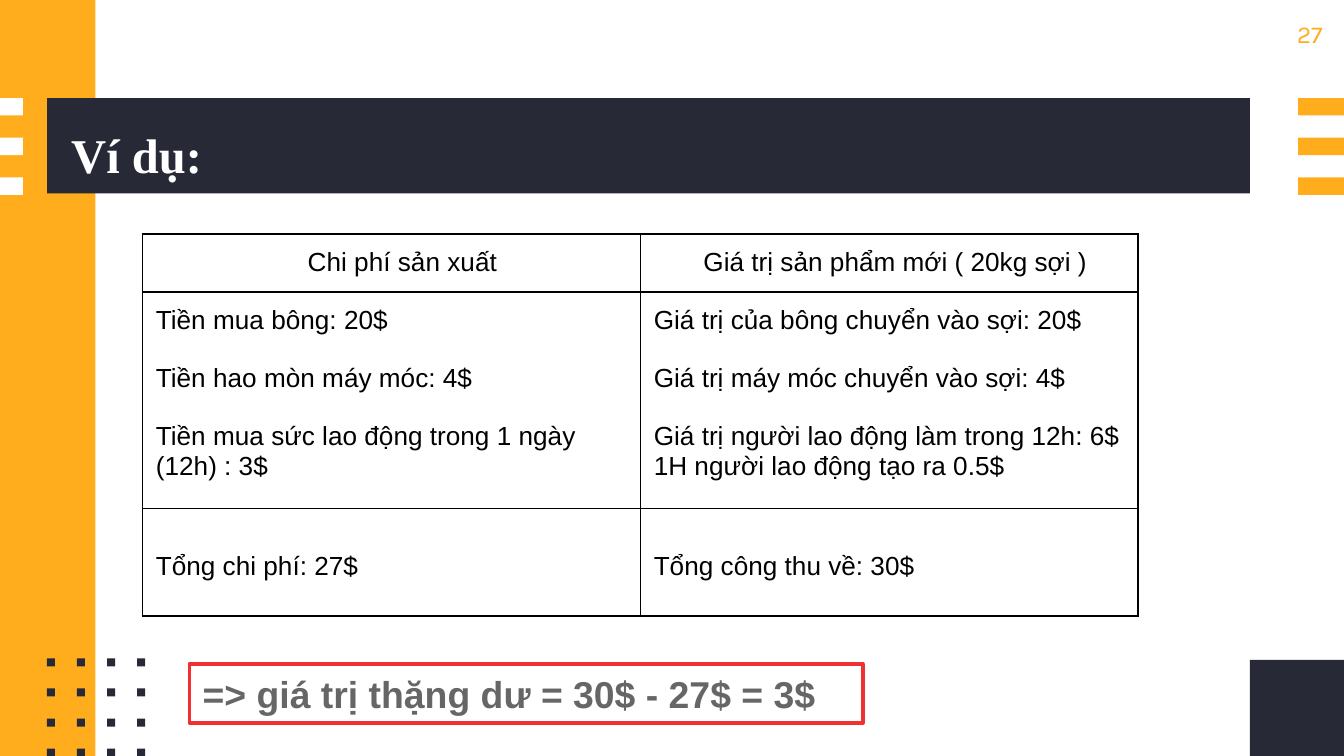
from lxml.etree import SubElement
from pptx import Presentation
from pptx.dml.color import RGBColor
from pptx.enum.shapes import MSO_SHAPE
from pptx.enum.text import MSO_ANCHOR, MSO_AUTO_SIZE, PP_ALIGN
from pptx.oxml.ns import qn
from pptx.util import Inches, Pt

GOLD = RGBColor(0xFF, 0xAD, 0x1D)
NAVY = RGBColor(0x27, 0x2A, 0x36)
WHITE = RGBColor(0xFF, 0xFF, 0xFF)
BLACK = RGBColor(0, 0, 0)
GRAY = RGBColor(0x66, 0x66, 0x66)
RED = RGBColor(0xF0, 0x31, 0x31)

WIDTH = 10
HEIGHT = WIDTH * 9 / 16
ROWS = [
    [["Chi phí sản xuất"], ["Giá trị sản phẩm mới ( 20kg sợi )"]],
    [
        ["Tiền mua bông: 20$", "Tiền hao mòn máy móc: 4$",
         "Tiền mua sức lao động trong 1 ngày (12h) : 3$"],
        ["Giá trị của bông chuyển vào sợi: 20$",
         "Giá trị máy móc chuyển vào sợi: 4$",
         "Giá trị người lao động làm trong 12h: 6$",
         "1H người lao động tạo ra 0.5$"],
    ],
    [["Tổng chi phí: 27$"], ["Tổng công thu về: 30$"]],
]
HEIGHTS = [0.41, 1.61, 0.8]
HEAD_LEFT = [1.23, 0.47]


class Deck:
    def __init__(self, slide):
        self.slide = slide

    def style(self, para, name, size, color, bold=False):
        font = para.font
        font.name = name
        font.size = Pt(size)
        font.color.rgb = color
        font.bold = bold

    def inset(self, frame, size):
        frame.margin_left = frame.margin_right = Inches(size)
        frame.margin_top = frame.margin_bottom = Inches(size)

    def rect(self, left, top, width, height, fill):
        shape = self.slide.shapes.add_shape(
            MSO_SHAPE.RECTANGLE, Inches(left), Inches(top),
            Inches(width), Inches(height))
        shape.shadow.inherit = False
        shape.fill.solid()
        shape.fill.fore_color.rgb = fill
        shape.line.fill.background()
        return shape

    def title(self, text, left, top, width, height):
        shape = self.slide.shapes.title
        self.slide.shapes._spTree.append(shape._element)
        shape.left, shape.top = Inches(left), Inches(top)
        shape.width, shape.height = Inches(width), Inches(height)
        frame = shape.text_frame
        frame.text = text
        frame.auto_size = MSO_AUTO_SIZE.NONE
        frame.vertical_anchor = MSO_ANCHOR.BOTTOM
        self.inset(frame, 0)
        para = frame.paragraphs[0]
        para.alignment = PP_ALIGN.LEFT
        para.line_spacing = 0.9
        self.style(para, "Times New Roman", 26, WHITE, True)

    def number(self, text, left, top, width, height):
        frame = self.slide.shapes.add_textbox(
            Inches(left), Inches(top), Inches(width), Inches(height)).text_frame
        frame.word_wrap = True
        self.inset(frame, 0)
        frame.text = text
        para = frame.paragraphs[0]
        para.alignment = PP_ALIGN.RIGHT
        self.style(para, "Karla", 13, GOLD)

    def border(self, cell):
        props = cell._tc.get_or_add_tcPr()
        for side in ("a:lnL", "a:lnR", "a:lnT", "a:lnB"):
            line = SubElement(props, qn(side), w=str(Pt(1)))
            fill = SubElement(line, qn("a:solidFill"))
            SubElement(fill, qn("a:srgbClr"), val=str(BLACK))

    def cell(self, cell, lines):
        self.border(cell)
        cell.fill.background()
        self.inset(cell, 0.1)
        cell.text = "\n".join(lines)
        for index, para in enumerate(cell.text_frame.paragraphs):
            if index in (1, 2):
                para.space_before = Pt(15.5)
            self.style(para, "Arial", 14, BLACK)

    def table(self, left, top, width):
        table = self.slide.shapes.add_table(
            len(ROWS), len(ROWS[0]), Inches(left), Inches(top),
            Inches(width), Inches(sum(HEIGHTS))).table
        table.first_row = table.horz_banding = False
        for row, height, texts in zip(table.rows, HEIGHTS, ROWS):
            row.height = Inches(height)
            for cell, lines in zip(row.cells, texts):
                self.cell(cell, lines)
        for col, indent in enumerate(HEAD_LEFT):
            table.cell(0, col).margin_left = Inches(indent)
            table.cell(2, col).margin_top = Inches(0.32)

    def result(self, text, left, top, width, height):
        shape = self.rect(left, top, width, height, WHITE)
        shape.line.color.rgb = RED
        shape.line.width = Pt(2)
        frame = shape.text_frame
        frame.word_wrap = True
        frame.vertical_anchor = MSO_ANCHOR.MIDDLE
        frame.text = text
        para = frame.paragraphs[0]
        para.alignment = PP_ALIGN.LEFT
        self.style(para, "Arial", 20, GRAY, True)


def main():
    prs = Presentation()
    prs.slide_width, prs.slide_height = Inches(WIDTH), Inches(HEIGHT)
    deck = Deck(prs.slides.add_slide(prs.slide_layouts[5]))

    deck.rect(9.3, 4.91, 0.7, HEIGHT - 4.91, NAVY)
    deck.rect(0, 0, 0.71, HEIGHT, GOLD)
    deck.rect(0.35, 0.73, 8.95, 0.71, NAVY)
    for step in range(3):
        top = 0.73 + 0.59 * step / 2
        deck.rect(0, top, 0.17, 0.13, WHITE)
        deck.rect(9.66, top, 0.34, 0.13, GOLD)
    for row in range(4):
        for col in range(4):
            deck.rect(0.35 + 0.67 * col / 3, 4.9 + 0.67 * row / 3,
                      0.06, 0.06, NAVY)

    deck.title("Ví dụ:", 0.53, 0.87, 7.55, 0.5)
    deck.number("27", 9.48, 0.14, 0.36, 0.3)
    deck.table(1.06, 1.74, 7.41)
    deck.result("=> giá trị thặng dư = 30$ - 27$ = 3$", 1.41, 4.94, 5.01, 0.44)
    prs.save("out.pptx")


if __name__ == "__main__":
    main()
